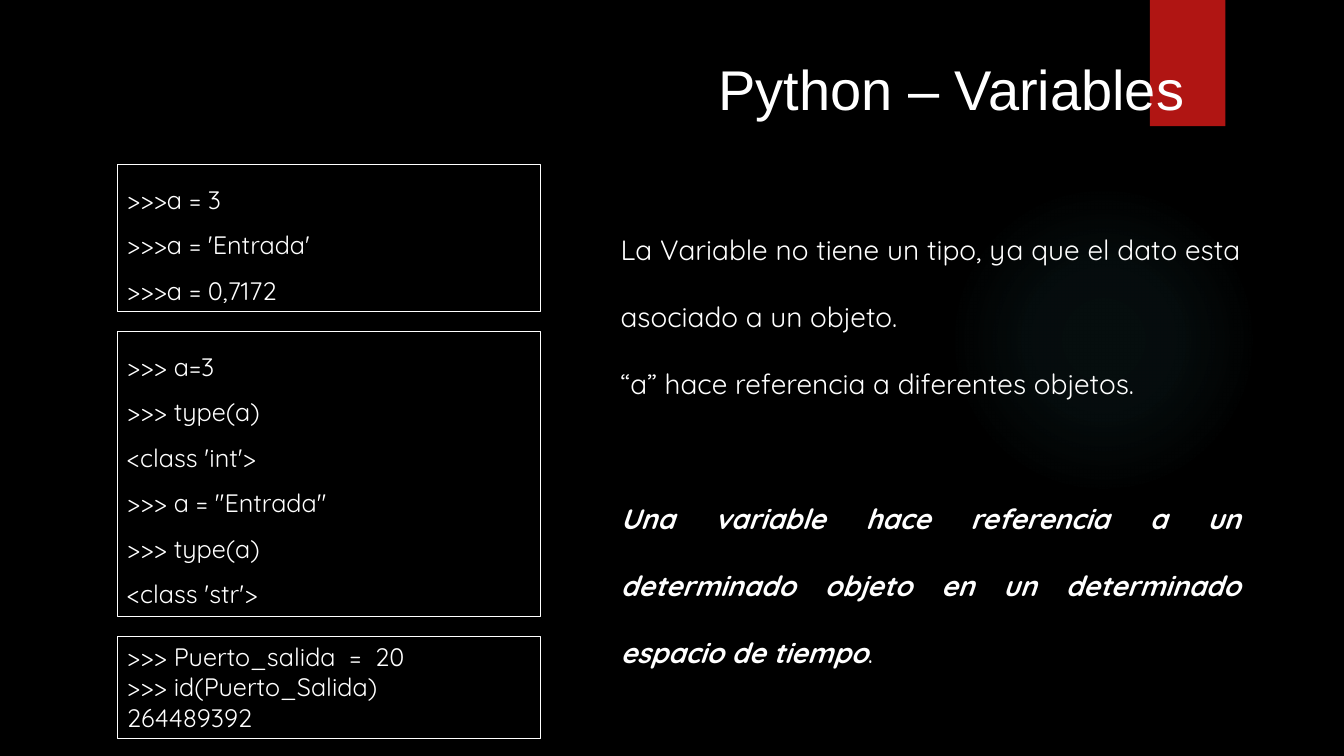
from lxml import etree
from pptx import Presentation
from pptx.dml.color import RGBColor
from pptx.enum.shapes import MSO_SHAPE
from pptx.enum.text import MSO_ANCHOR, MSO_AUTO_SIZE, PP_ALIGN
from pptx.oxml import parse_xml
from pptx.oxml.ns import nsdecls
from pptx.util import Cm, Pt

RECT, OVAL = MSO_SHAPE.RECTANGLE, MSO_SHAPE.OVAL
TOP, GROW = MSO_ANCHOR.TOP, MSO_AUTO_SIZE.SHAPE_TO_FIT_TEXT
LEFT, JUST = PP_ALIGN.LEFT, PP_ALIGN.JUSTIFY

COLORS = {"back": "000000", "text": "FFFFFF", "tag": "B01513", "glow": "50B9C1"}
HEAD, BODY = "Arial", "Quicksand"

# Code boxes: height in cm, line spacing, lines
CODE = [
    (3.71, 1.5, [">>>a = 3", ">>>a = 'Entrada'", ">>>a = 0,7172"]),
    (7.19, 1.5, [">>> a=3", ">>> type(a)", "<class 'int'>",
                 '>>> a = "Entrada"', ">>> type(a)", "<class 'str'>"]),
    (2.57, 1.0, [">>> Puerto_salida  =  20", ">>> id(Puerto_Salida)",
                 "264489392"]),
]
NOTES = [
    "La Variable no tiene un tipo, ya que el dato esta asociado a un objeto.",
    "“a” hace referencia a diferentes objetos.",
]
CLAIM = ("Una variable hace referencia a un determinado objeto "
         "en un determinado espacio de tiempo")


def color(name):
    return RGBColor.from_string(COLORS[name])


def add_shape(slide, kind, area, fill, line=None):
    shape = slide.shapes.add_shape(kind, *map(Cm, area))
    shape.shadow.inherit = False
    shape.fill.solid()
    shape.fill.fore_color.rgb = color(fill)
    if line:
        shape.line.color.rgb = color(line)
        shape.line.width = Pt(0.75)
    else:
        shape.line.fill.background()
    return shape


def add_glow(slide, area):
    """Circle that fades out from its centre."""
    props = add_shape(slide, OVAL, area, "glow")._element.spPr
    grad = parse_xml(f'<a:gradFill {nsdecls("a")}><a:gsLst/><a:path path="circle">'
                     '<a:fillToRect l="50000" t="50000" r="50000" b="50000"/>'
                     '</a:path></a:gradFill>')
    for pos, alpha in [(0, 7), (36, 6), (69, 0)]:
        grad[0].append(parse_xml(
            f'<a:gs {nsdecls("a")} pos="{pos * 1000}"><a:srgbClr val="{COLORS["glow"]}">'
            f'<a:alpha val="{alpha * 1000}"/></a:srgbClr></a:gs>'))
    solid = props.find(etree.QName(grad).text.replace("gradFill", "solidFill"))
    props.replace(solid, grad)


def write(shape, lines, size, font=BODY, space=1.0, align=LEFT):
    frame = shape.text_frame
    frame.word_wrap = True
    frame.auto_size = GROW
    frame.vertical_anchor = TOP
    frame.text = "\n".join(lines)
    for para in frame.paragraphs:
        para.alignment = align
        para.line_spacing = space
        para.font.name = font
        para.font.size = Pt(size)
        para.font.color.rgb = color("text")
    return frame


def add_text(slide, area, lines, size, **style):
    return write(slide.shapes.add_textbox(*map(Cm, area)), lines, size, **style)


def add_codes(slide, left, top, width, gap):
    for height, space, lines in CODE:
        box = add_shape(slide, RECT, (left, top, width, height), "back", "text")
        write(box, lines, 18, space=space)
        top += height + gap


def add_notes(slide, area):
    frame = add_text(slide, area, NOTES + [CLAIM], 20, space=2.0, align=JUST)
    claim = frame.paragraphs[-1]
    claim.space_before = Pt(48)
    claim.runs[0].font.bold = claim.runs[0].font.italic = True
    claim.add_run().text = "."


def main():
    deck = Presentation()
    deck.slide_width, deck.slide_height = Cm(33.87), Cm(19.05)
    slide = deck.slides.add_slide(deck.slide_layouts[6])

    # Backdrop
    slide.background.fill.solid()
    slide.background.fill.fore_color.rgb = color("back")
    add_glow(slide, (23.9, 4.65, 7.82, 7.82))
    add_shape(slide, RECT, (28.98, 0, 1.9, 3.18), "tag")

    # Title, code and notes
    add_text(slide, (17.86, 1.24, 14.07, 1.96), ["Python – Variables"], 40, font=HEAD)
    add_codes(slide, 2.95, 4.14, 10.67, 0.5)
    add_notes(slide, (15.39, 4.88, 16.13, 11.96))

    deck.save("out.pptx")


if __name__ == "__main__":
    main()
